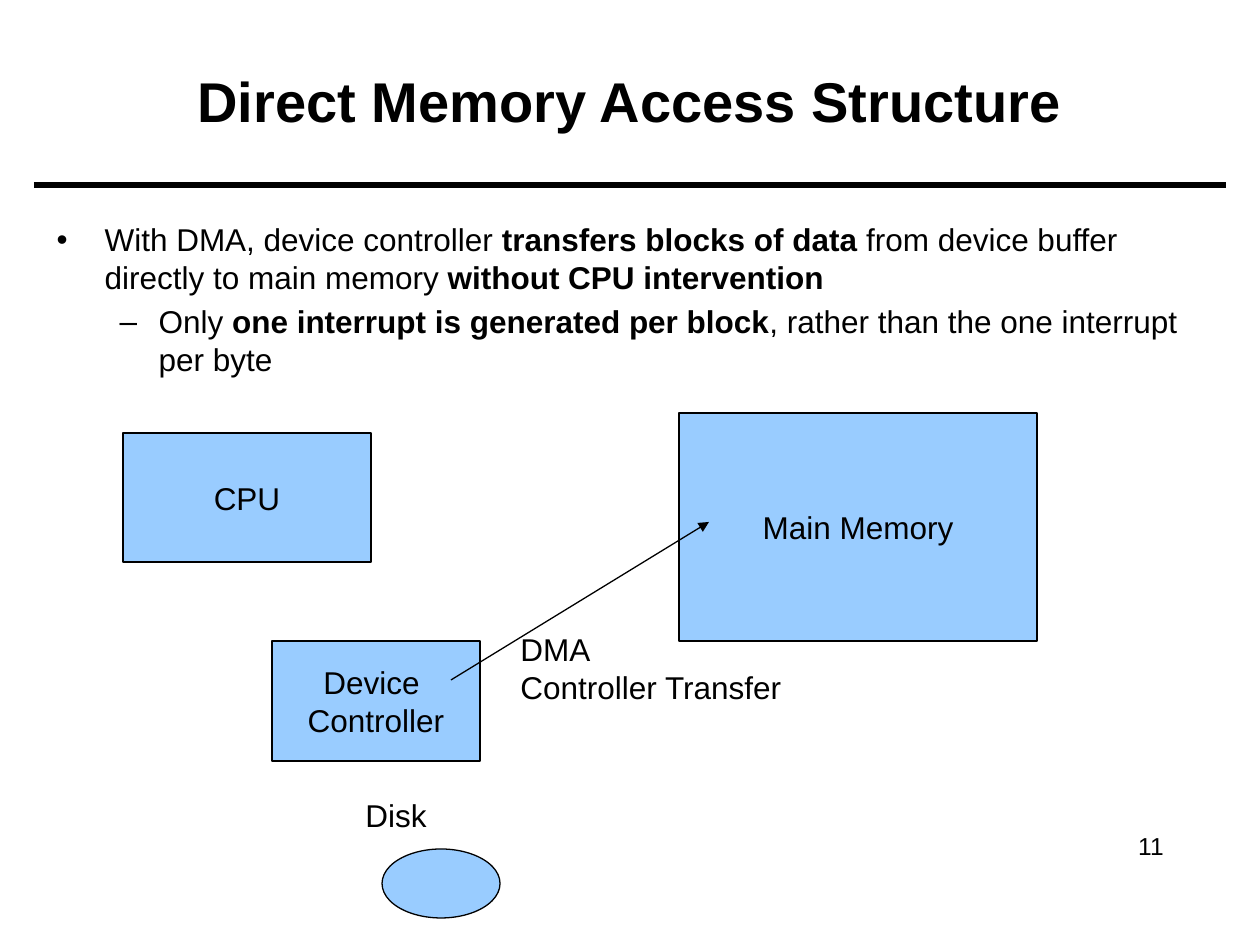
import pptx
import pptx.util
import pptx.dml.color
import pptx.enum.shapes
import pptx.enum.text
import pptx.oxml.ns
from lxml import etree

BLACK = pptx.dml.color.RGBColor(0x00, 0x00, 0x00)
BLUE = pptx.dml.color.RGBColor(0x99, 0xCC, 0xFF)
SCALE = pptx.util.Inches(1) / 126
SHAPE = pptx.enum.shapes.MSO_SHAPE
ALIGN = pptx.enum.text.PP_ALIGN
ANCHOR = pptx.enum.text.MSO_ANCHOR
FIT = pptx.enum.text.MSO_AUTO_SIZE

# bullet, left margin px, text runs as (words, bold)
POINTS = [
    ("•", 48, [("With DMA, device controller ", False),
               ("transfers blocks of data", True),
               (" from device buffer directly to main memory ", False),
               ("without CPU intervention", True)]),
    ("–", 102, [("Only ", False),
                ("one interrupt is generated per block", True),
                (", rather than the one interrupt per byte", False)]),
]
HANGS = [48, 39]
BOXES = [
    ("Device \vController", (272, 641, 208, 120)),
    ("Main Memory", (679, 413, 358, 228)),
    ("CPU", (123, 433, 248, 129)),
]


def px(count):
    return pptx.util.Emu(round(count * SCALE))


def apply(thing, values):
    for name, value in values.items():
        setattr(thing, name, value)


def place(shape, box):
    apply(shape, dict(zip(("left", "top", "width", "height"), map(px, box))))


def style(font, size=18, bold=False):
    apply(font, {"name": "Arial", "size": pptx.util.Pt(size), "bold": bold})
    font.color.rgb = BLACK


def stroke(line, width=0.75):
    line.color.rgb = BLACK
    line.width = pptx.util.Pt(width)


def child(node, tag, **values):
    return etree.SubElement(node, pptx.oxml.ns.qn(tag), **values)


def title(slide, text):
    shape = slide.shapes.title
    place(shape, (44, 21, 1171, 158))
    frame = shape.text_frame
    frame.text = text
    apply(frame, {"vertical_anchor": ANCHOR.MIDDLE, "auto_size": FIT.NONE})
    frame.paragraphs[0].alignment = ALIGN.CENTER
    style(frame.paragraphs[0].runs[0].font, 32, True)


def bullets(slide):
    shape = slide.placeholders[1]
    place(shape, (44, 214, 1171, 645))
    frame = shape.text_frame
    frame.auto_size = FIT.NONE
    for level, (mark, left, runs) in enumerate(POINTS):
        para = frame.add_paragraph() if level else frame.paragraphs[0]
        space = pptx.util.Pt(3.6 if level else 0)
        apply(para, {"level": level, "space_before": space})
        props = para._p.get_or_add_pPr()
        props.set("marL", str(px(left)))
        props.set("indent", str(-px(HANGS[level])))
        child(props, "a:buFont", typeface="Arial")
        child(props, "a:buChar", char=mark)
        for words, bold in runs:
            run = para.add_run()
            run.text = words
            style(run.font, bold=bold)


def block(slide, kind, box, text=""):
    """Draw a blue outlined shape with an optional centred label."""
    shape = slide.shapes.add_shape(kind, *map(px, box))
    shape.shadow.inherit = False
    shape.fill.solid()
    shape.fill.fore_color.rgb = BLUE
    stroke(shape.line)
    if text:
        write(shape.text_frame, [text], ALIGN.CENTER)
        shape.text_frame.vertical_anchor = ANCHOR.MIDDLE


def write(frame, lines, align=ALIGN.LEFT, size=18):
    frame.word_wrap = False
    for index, text in enumerate(lines):
        para = frame.add_paragraph() if index else frame.paragraphs[0]
        apply(para, {"text": text, "alignment": align})
        for run in para.runs:
            style(run.font, size)


def label(slide, lines, box, **format):
    shape = slide.shapes.add_textbox(*map(px, box))
    write(shape.text_frame, lines, **format)
    return shape.text_frame


def rule(slide, ends, width=0.75, arrow=False):
    kind = pptx.enum.shapes.MSO_CONNECTOR.STRAIGHT
    line = slide.shapes.add_connector(kind, *map(px, ends))
    stroke(line.line, width)
    if arrow:
        child(line.line._get_or_add_ln(), "a:tailEnd", type="triangle")
    child(line._element.spPr, "a:effectLst")


def main():
    deck = pptx.Presentation()
    apply(deck, {"slide_width": px(1260), "slide_height": px(945)})
    slide = deck.slides.add_slide(deck.slide_layouts[1])
    title(slide, "Direct Memory Access Structure")
    rule(slide, (34, 185, 1226, 185), width=3)
    bullets(slide)
    block(slide, SHAPE.OVAL, (382, 849, 118, 69))
    for text, box in BOXES:
        block(slide, SHAPE.RECTANGLE, box, text)
    rule(slide, (451, 680, 709, 522), arrow=True)
    label(slide, ["DMA", "Controller Transfer"], (508, 624, 287, 88))
    label(slide, ["Disk"], (353, 790, 87, 50))
    number = label(slide, ["11"], (1045, 825, 131, 43),
                   align=ALIGN.RIGHT, size=14)
    number.word_wrap = True
    deck.save("out.pptx")


if __name__ == "__main__":
    main()
